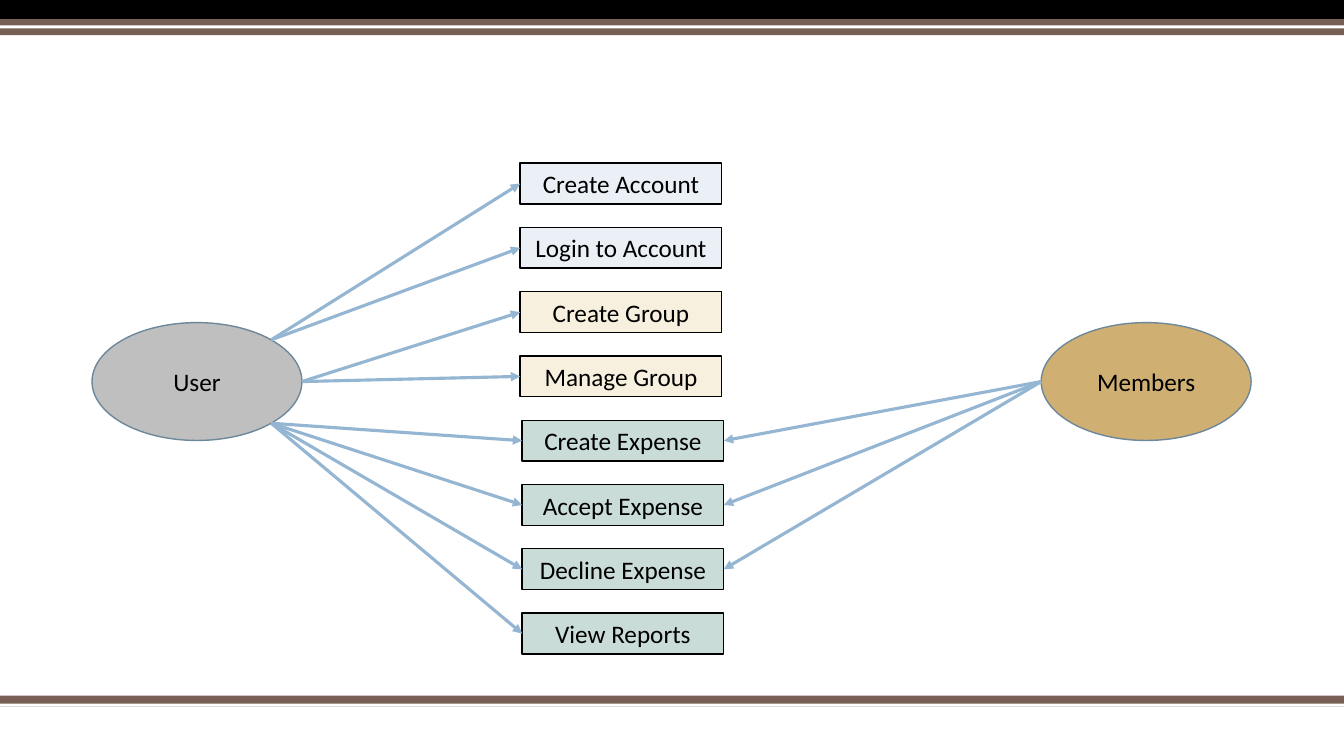
from math import cos, radians, sin

from lxml.etree import SubElement
from pptx import Presentation
from pptx.dml.color import RGBColor
from pptx.enum.shapes import MSO_CONNECTOR as Connector, MSO_SHAPE as Shape
from pptx.enum.text import MSO_ANCHOR as Anchor, PP_ALIGN as Align
from pptx.oxml.ns import qn
from pptx.util import Cm, Pt

SLIDE_W, SLIDE_H = 33.87, 19.05
CASE_W, CASE_H, CASE_TOP, CASE_PITCH = 5.08, 1.03, 4.11, 1.62
ACTOR_W, ACTOR_H, ACTOR_TOP = 5.29, 2.97, 8.13
LEFT_SITE, RIGHT_SITE = 1, 3

# Top, height and colour of the bands across the slide
BANDS = [
    (17.53, 0.28, "775F55"), (17.73, 0.08, "FFFFFF"),
    (0, 0.48, "000000"), (0.48, 0.41, "775F55"), (0.64, 0.08, "FFFFFF"),
]

# Use case, left edge, fill, and the angle at which its arrow leaves the user
USE_CASES = [
    ("Create Account", 13.11, "EAF0F6", -45),
    ("Login to Account", 13.11, "EAF0F6", -45),
    ("Create Group", 13.11, "F7F0DE", 0),
    ("Manage Group", 13.11, "F7F0DE", 0),
    ("Create Expense", 13.16, "CADCD8", 45),
    ("Accept Expense", 13.16, "CADCD8", 45),
    ("Decline Expense", 13.16, "CADCD8", 45),
    ("View Reports", 13.16, "CADCD8", 45),
]
MEMBER_CASES = ("Create Expense", "Accept Expense", "Decline Expense")


def color(value):
    return RGBColor.from_string(value)


def add_box(slide, kind, left, top, width, height, fill, outline=None):
    box = slide.shapes.add_shape(kind, Cm(left), Cm(top), Cm(width), Cm(height))
    box.shadow.inherit = False
    box.fill.solid()
    box.fill.fore_color.rgb = color(fill)
    if outline:
        box.line.color.rgb = color(outline)
        box.line.width = Pt(1)
    else:
        box.line.fill.background()
    return box


def write_label(holder, text):
    frame = holder.text_frame
    frame.word_wrap = True
    frame.vertical_anchor = Anchor.MIDDLE
    paragraph = frame.paragraphs[0]
    paragraph.alignment = Align.CENTER
    run = paragraph.add_run()
    run.text = text
    run.font.name = "Calibri"
    run.font.size = Pt(18)
    run.font.color.rgb = color("000000")


def add_use_case(slide, row, text, left, fill):
    case = add_box(slide, Shape.RECTANGLE, left, CASE_TOP + row * CASE_PITCH,
                   CASE_W, CASE_H, fill, "000000")
    write_label(case, text)
    return case


def add_actor(slide, text, left, fill, label_width):
    actor = add_box(slide, Shape.OVAL, left, ACTOR_TOP, ACTOR_W, ACTOR_H, fill, "6D879B")
    label = slide.shapes.add_textbox(
        Cm(left + (ACTOR_W - label_width) / 2), Cm(ACTOR_TOP + (ACTOR_H - CASE_H) / 2),
        Cm(label_width), Cm(CASE_H))
    write_label(label, text)
    return actor


def add_arrow(slide, actor, angle, case, site):
    """Run an arrow from the actor's rim, at an angle, to a side of the use case."""
    turn = radians(angle)
    x = actor.left + actor.width * (1 + cos(turn)) / 2
    y = actor.top + actor.height * (1 + sin(turn)) / 2
    arrow = slide.shapes.add_connector(Connector.STRAIGHT, int(x), int(y), int(x), int(y))
    arrow.end_connect(case, site)
    arrow.line.color.rgb = color("94B6D2")
    arrow.line.width = Pt(2.25)
    SubElement(arrow.line._get_or_add_ln(), qn("a:tailEnd"), type="triangle")
    SubElement(arrow._element.spPr, qn("a:effectLst"))


def main():
    deck = Presentation()
    deck.slide_width, deck.slide_height = Cm(SLIDE_W), Cm(SLIDE_H)
    slide = deck.slides.add_slide(deck.slide_layouts[6])

    # Bands at top and bottom
    for top, height, fill in BANDS:
        add_box(slide, Shape.RECTANGLE, 0, top, SLIDE_W, height, fill)

    # Actors on either side
    user = add_actor(slide, "User", 2.32, "BFBFBF", 2.74)
    members = add_actor(slide, "Members", 26.24, "D0AF72", 3.38)

    # Use cases with the arrows that reach them
    for row, (text, left, fill, user_angle) in enumerate(USE_CASES):
        case = add_use_case(slide, row, text, left, fill)
        add_arrow(slide, user, user_angle, case, LEFT_SITE)
        if text in MEMBER_CASES:
            add_arrow(slide, members, 180, case, RIGHT_SITE)

    deck.save("out.pptx")


if __name__ == "__main__":
    main()
